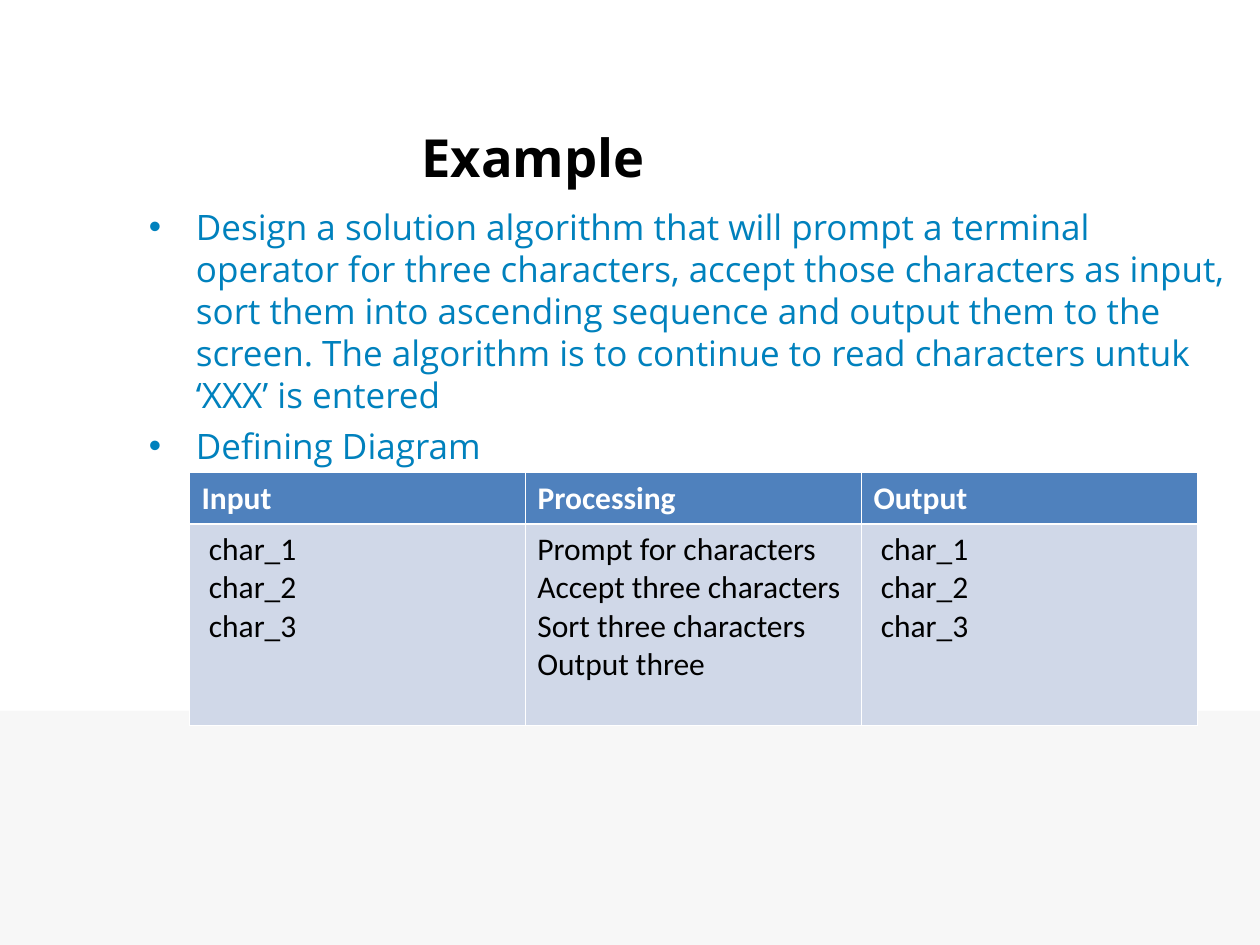
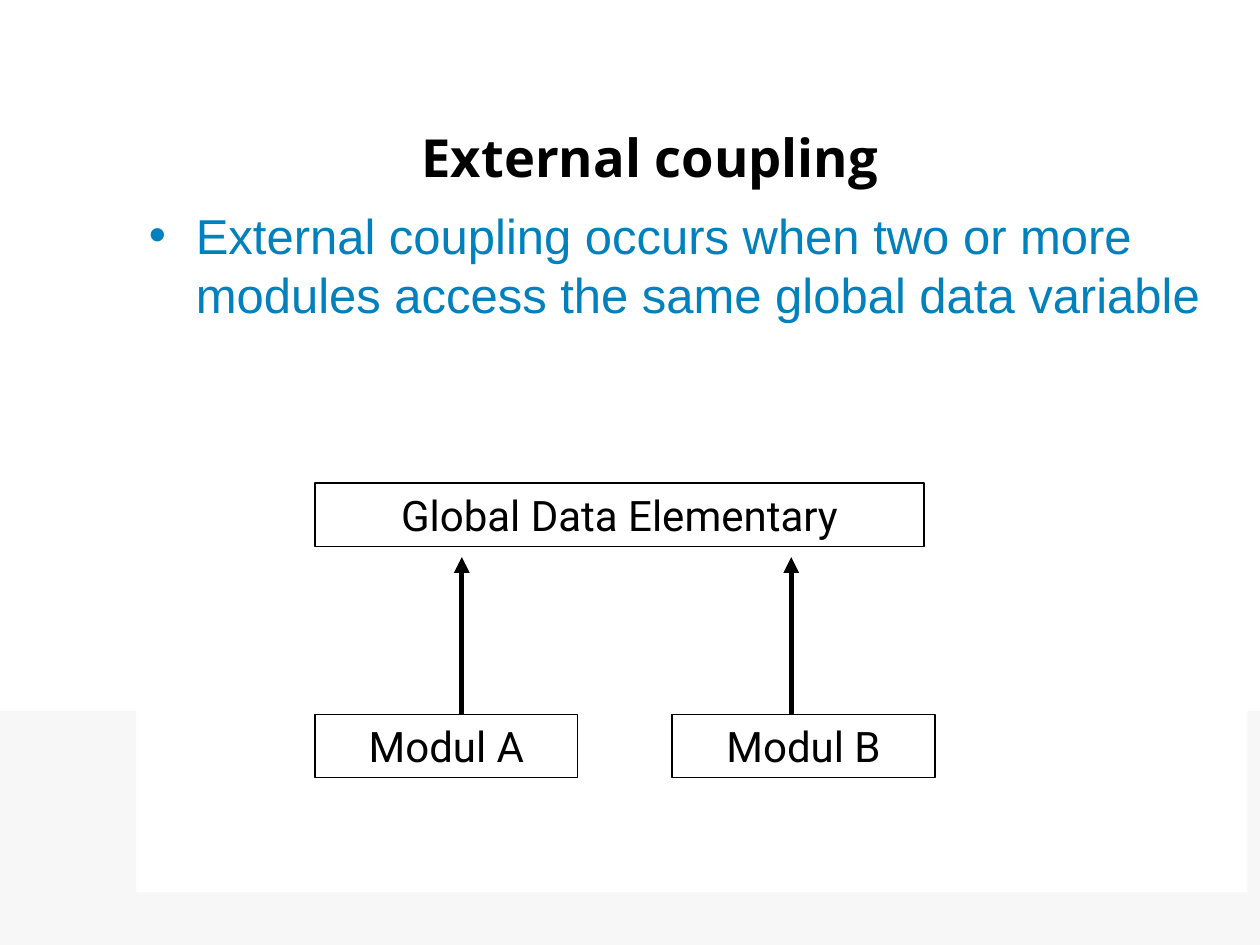
import pptx
import pptx.dml.color
import pptx.enum.shapes
import pptx.enum.text
import pptx.oxml.ns
import pptx.util
from lxml import etree

Cm, Pt = pptx.util.Cm, pptx.util.Pt
RECT = pptx.enum.shapes.MSO_SHAPE.RECTANGLE
ALIGN = pptx.enum.text.PP_ALIGN
ANCHOR = pptx.enum.text.MSO_ANCHOR

# Shared colours and fonts
BLACK, WHITE, BAND, BODY = "000000", "FFFFFF", "F7F7F7", "0081BD"
HEADER, CELL = "4F81BD", "D0D8E8"
SANS = "Open Sans"
WIDTH, HEIGHT = 25.4, 19.05
BODY_LEFT, BODY_TOP = 2.75, 4.02


def rgb(color):
    return pptx.dml.color.RGBColor.from_string(color)


def add_xml(parent, tag, **attrs):
    return etree.SubElement(parent, pptx.oxml.ns.qn(tag), attrs)


def set_font(p, name, size, color, bold=False):
    f = p.font
    f.name, f.size, f.bold = name, Pt(size), bold
    f.color.rgb = rgb(color)


def add_rect(s, x, y, w, h, fill=None, line=None):
    sp = s.shapes.add_shape(RECT, Cm(x), Cm(y), Cm(w), Cm(h))
    sp.shadow.inherit = False
    if fill:
        sp.fill.solid()
        sp.fill.fore_color.rgb = rgb(fill)
    else:
        sp.fill.background()
    if line:
        sp.line.color.rgb = rgb(line)
        sp.line.width = Pt(0.75)
    else:
        sp.line.fill.background()
    return sp


# Slide frame: grey band and title
def add_slide(prs, title):
    s = prs.slides.add_slide(prs.slide_layouts[6])
    top = 14.33
    add_rect(s, 0, top, WIDTH, HEIGHT - top, fill=BAND)
    tf = s.shapes.add_textbox(Cm(8.25), Cm(2.11), Cm(15.67), Cm(2.11)).text_frame
    tf.word_wrap = True
    tf.vertical_anchor = ANCHOR.MIDDLE
    p = tf.paragraphs[0]
    p.text = title
    set_font(p, SANS, 30, BLACK, bold=True)
    return s


def add_bullets(sp, items, font, size):
    tf = sp.text_frame
    tf.word_wrap = True
    tf.vertical_anchor = ANCHOR.TOP
    for i, text in enumerate(items):
        p = tf.add_paragraph() if i else tf.paragraphs[0]
        p.text = text
        p.alignment = ALIGN.LEFT
        p.line_spacing = Pt(size * 1.2)
        if i:
            p.space_before = Pt(size / 4)
        pPr = p._p.get_or_add_pPr()
        pPr.set("marL", str(Cm(0.95)))
        pPr.set("indent", str(-Cm(0.95)))
        add_xml(add_xml(pPr, "a:buClr"), "a:srgbClr", val=BODY)
        add_xml(pPr, "a:buFont", typeface="Arial")
        add_xml(pPr, "a:buChar", char="•")
        set_font(p, font, size, BODY)


def add_box(s, x, y, w, text):
    sp = add_rect(s, x, y, w, 1.28, line=BLACK)
    tf = sp.text_frame
    tf.word_wrap = True
    tf.vertical_anchor = ANCHOR.TOP
    p = tf.paragraphs[0]
    p.text = text
    p.alignment = ALIGN.CENTER
    set_font(p, "Roboto", 24, BLACK)


def add_up_arrow(s, x, bottom, top):
    c = s.shapes.add_connector(pptx.enum.shapes.MSO_CONNECTOR.STRAIGHT,
                               Cm(x), Cm(bottom), Cm(x), Cm(top))
    c.line.color.rgb = rgb(BLACK)
    c.line.width = Pt(3)
    add_xml(c.line._get_or_add_ln(), "a:tailEnd", type="triangle")
    add_xml(c._element.spPr, "a:effectLst")


# Table with white rules, thicker under the header
def style_cell(cell, header):
    thick = "a:lnB" if header else "a:lnT"
    tcPr = cell._tc.get_or_add_tcPr()
    for side in ("a:lnL", "a:lnR", "a:lnT", "a:lnB"):
        ln = add_xml(tcPr, side, w=str(Pt(1.47 if side == thick else 0.45)))
        add_xml(add_xml(ln, "a:solidFill"), "a:srgbClr", val=WHITE)
    cell.fill.solid()
    cell.fill.fore_color.rgb = rgb(HEADER if header else CELL)
    for p in cell.text_frame.paragraphs:
        set_font(p, "Calibri", 18, WHITE if header else BLACK, bold=header)


def add_diagram_table(s, x, y, w, row_heights, columns):
    table = s.shapes.add_table(2, len(columns), Cm(x), Cm(y), Cm(w),
                               Cm(sum(row_heights))).table
    for row, h in zip(table.rows, row_heights):
        row.height = Cm(h)
    for i, (heading, lines, indent) in enumerate(columns):
        table.columns[i].width = Cm(w / len(columns))
        head, body = table.cell(0, i), table.cell(1, i)
        head.text = heading
        body.text = "\n".join(lines)
        body.margin_left = Cm(0.25 + indent)
        style_cell(head, True)
        style_cell(body, False)


def build_example(prs):
    s = add_slide(prs, "Example")
    sp = s.shapes.add_textbox(Cm(BODY_LEFT), Cm(BODY_TOP), Cm(22.23), Cm(13.2))
    add_bullets(sp, [
        "Design a solution algorithm that will prompt a terminal operator for "
        "three characters, accept those characters as input, sort them into "
        "ascending sequence and output them to the screen. The algorithm is to "
        "continue to read characters untuk ‘XXX’ is entered",
        "Defining Diagram",
    ], SANS, 20)
    chars = [f"char_{n}" for n in (1, 2, 3)]
    steps = ["Prompt for characters", "Accept three characters",
             "Sort three characters", "Output three"]
    add_diagram_table(s, 3.81, 9.53, 20.32, (1.03, 4.06), [
        ("Input", chars, 0.15),
        ("Processing", steps, 0),
        ("Output", chars, 0.15),
    ])


def build_coupling(prs):
    s = add_slide(prs, "External coupling")
    panel = add_rect(s, BODY_LEFT, BODY_TOP, 22.4, 13.97, fill=WHITE)
    add_bullets(panel, ["External coupling occurs when two or more modules "
                        "access the same global data variable"], "Arial", 28)
    # Modules pointing up at the shared data
    module_top = 14.4
    add_box(s, 6.35, 9.74, 12.28, "Global Data Elementary")
    for name, x, arrow_x in (("Modul A", 6.35, 9.31), ("Modul B", 13.55, 15.95)):
        add_box(s, x, module_top, 5.3, name)
        add_up_arrow(s, arrow_x, module_top, 11.23)


def main():
    prs = pptx.Presentation()
    prs.slide_width, prs.slide_height = Cm(WIDTH), Cm(HEIGHT)
    build_example(prs)
    build_coupling(prs)
    prs.save("out.pptx")


if __name__ == "__main__":
    main()
